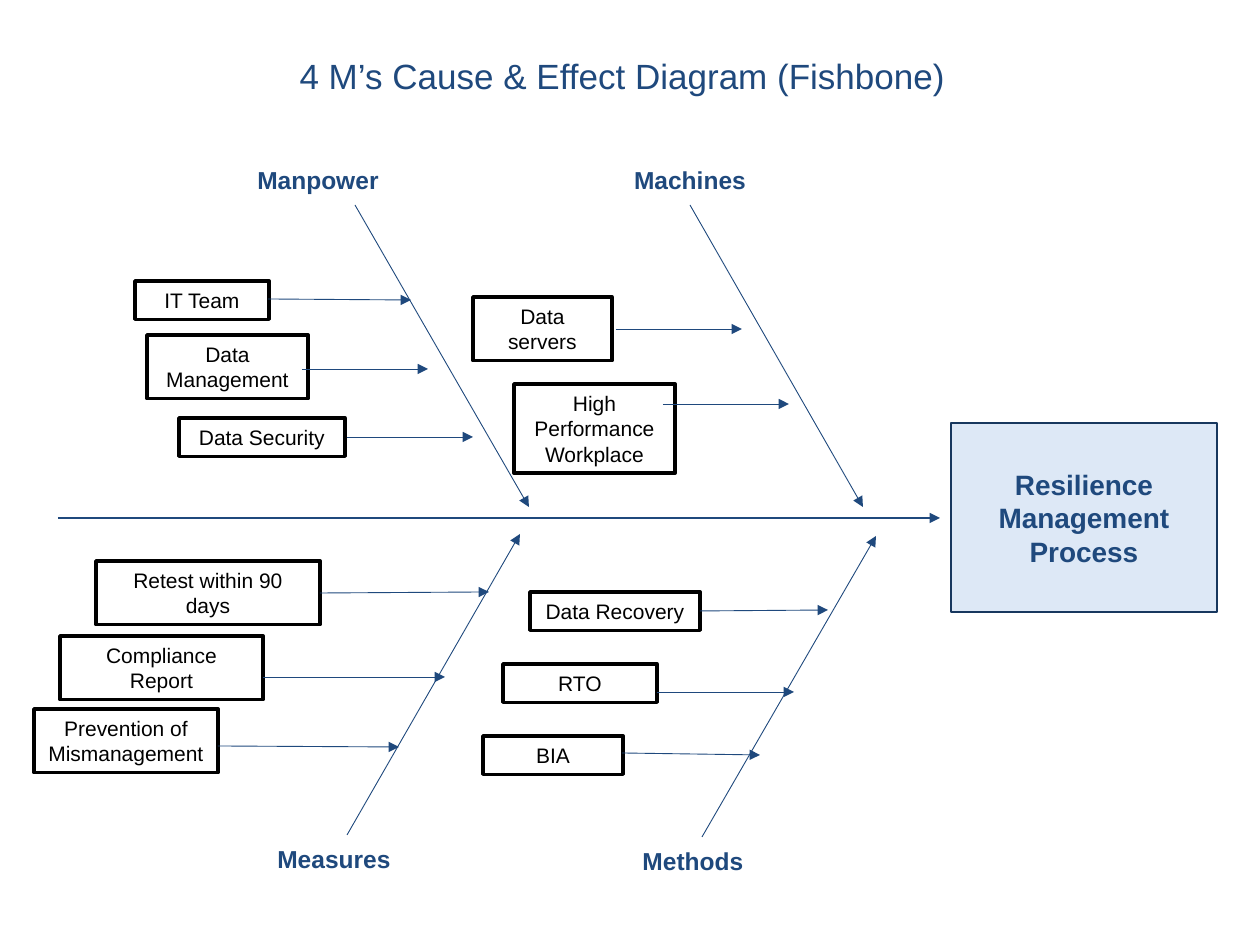
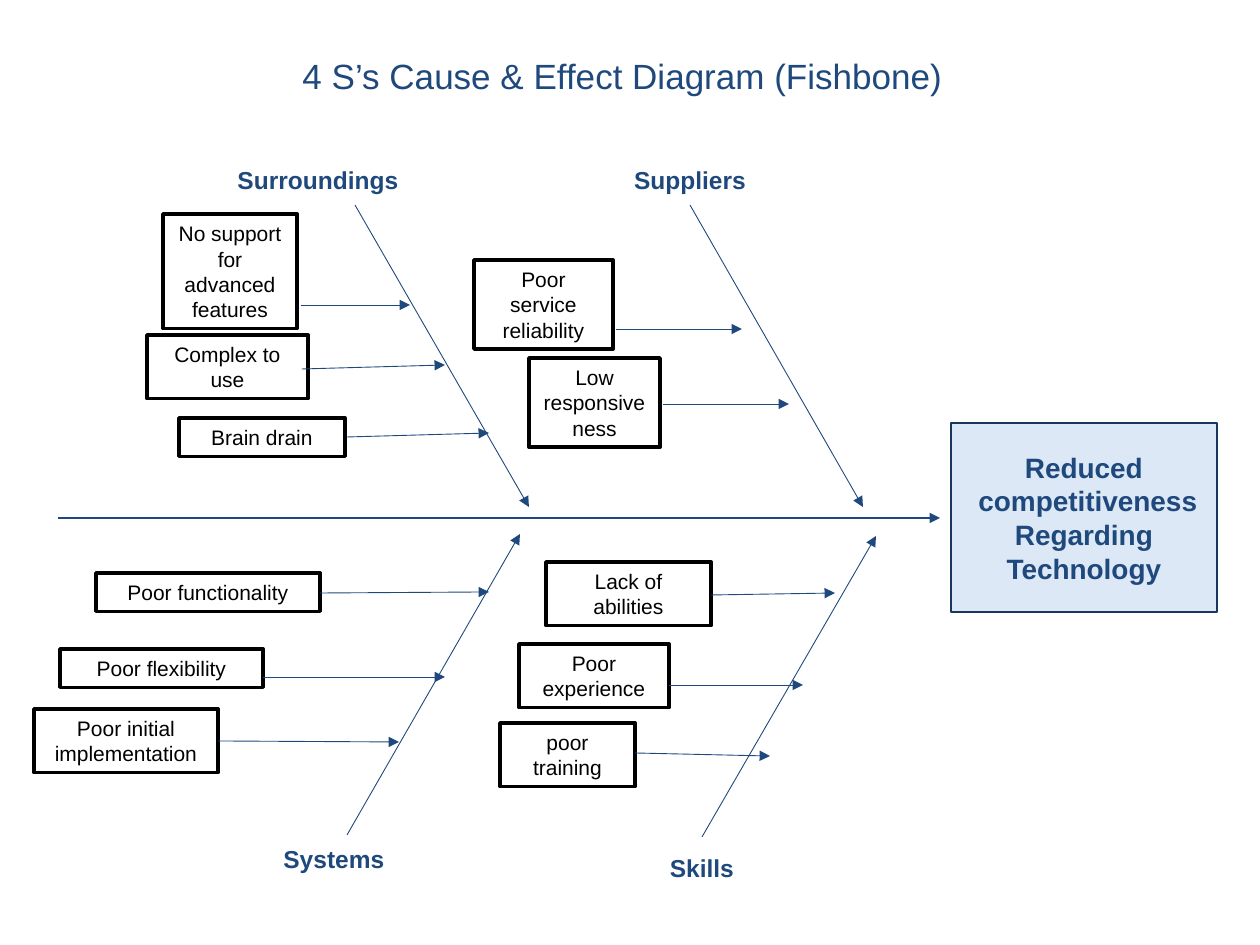
from lxml.etree import SubElement
from pptx import Presentation
from pptx.dml.color import RGBColor
from pptx.enum.shapes import MSO_CONNECTOR, MSO_SHAPE
from pptx.enum.text import MSO_ANCHOR, MSO_AUTO_SIZE, PP_ALIGN
from pptx.oxml.ns import qn
from pptx.util import Inches, Pt

NAVY, EDGE, PALE, BLACK, WHITE = "1F497D", "17375E", "C6D9F1", "000000", "FFFFFF"
FONT = "Arial"
SCALE = Inches(1) / 126
LINE_HEIGHT, BOX_PADDING = 25.4, 13

TITLE_AREA = (107, 48, 1031, 54)
EFFECT_AREA = (951, 423, 266, 189)
SPINE = (58, 518, 940, 518)
BONES = [
    (355, 205, 529, 507),
    (690, 205, 863, 507),
    (347, 835, 520, 534),
    (702, 837, 876, 536),
]

DIAGRAMS = [
    {
        "title": "4 M’s Cause & Effect Diagram (Fishbone)",
        "effect": "Resilience\v Management \vProcess",
        "categories": [
            ("Manpower", 117, 159, 402),
            ("Machines", 549, 159, 282),
            ("Measures", 195, 838, 278),
            ("Methods", 554, 840, 278),
        ],
        "causes": [
            ("IT Team", 135, 281, 134, 1, (268, 299, 411, 300)),
            ("Data Management", 147, 335, 161, 2, (302, 369, 428, 369)),
            ("Data Security", 179, 418, 166, 1, (347, 437, 473, 437)),
            ("Data servers", 473, 297, 139, 2, (616, 329, 742, 329)),
            ("High Performance Workplace", 514, 384, 161, 3, (663, 404, 789, 404)),
            ("Retest within 90 days", 96, 561, 224, 2, (320, 593, 489, 592)),
            ("Compliance Report", 60, 636, 203, 2, (263, 677, 445, 677)),
            ("Prevention of Mismanagement", 34, 709, 184, 2, (218, 746, 399, 747)),
            ("Data Recovery", 530, 592, 170, 1, (700, 611, 828, 610)),
            ("RTO", 503, 664, 154, 1, (657, 692, 794, 692)),
            ("BIA", 483, 736, 140, 1, (622, 753, 760, 755)),
        ],
    },
    {
        "title": "4 S’s Cause & Effect Diagram (Fishbone)",
        "effect": "Reduced\n competitiveness\nRegarding\nTechnology",
        "categories": [
            ("Surroundings", 117, 159, 402),
            ("Suppliers", 549, 159, 282),
            ("Systems", 195, 838, 278),
            ("Skills", 563, 847, 278),
        ],
        "causes": [
            ("No support for advanced features", 163, 214, 134, 4, (301, 305, 410, 305)),
            ("Complex to use", 147, 335, 161, 2, (302, 369, 445, 365)),
            ("Brain drain", 179, 418, 166, 1, (347, 437, 489, 433)),
            ("Poor service reliability", 474, 260, 139, 3, (616, 329, 742, 329)),
            ("Low responsiveness", 529, 358, 131, 3, (663, 404, 789, 404)),
            ("Poor functionality", 96, 573, 224, 1, (320, 593, 489, 592)),
            ("Poor flexibility", 60, 649, 203, 1, (263, 677, 445, 677)),
            ("Poor initial implementation", 34, 709, 184, 2, (218, 741, 399, 742)),
            ("Lack of abilities", 546, 562, 165, 2, (711, 595, 835, 593)),
            ("Poor experience", 519, 644, 150, 2, (669, 685, 803, 685)),
            ("poor training", 500, 723, 135, 2, (635, 753, 770, 756)),
        ],
    },
]


def emu(*pixels):
    return [round(pixel * SCALE) for pixel in pixels]


def rgb(hex_color):
    return RGBColor.from_string(hex_color)


def write(frame, text, size, color, bold=False, anchor=MSO_ANCHOR.TOP, wrap=True):
    frame.text = text
    frame.word_wrap = wrap
    frame.auto_size = MSO_AUTO_SIZE.NONE
    frame.vertical_anchor = anchor
    for paragraph in frame.paragraphs:
        paragraph.alignment = PP_ALIGN.CENTER
        paragraph.font.name = FONT
        paragraph.font.size = Pt(size)
        paragraph.font.bold = bold
        paragraph.font.color.rgb = rgb(color)


def add_title(slide, text):
    title = slide.shapes.title
    title.left, title.top, title.width, title.height = emu(*TITLE_AREA)
    write(title.text_frame, text, 20, NAVY)


def add_box(slide, area, fill, edge, weight):
    box = slide.shapes.add_shape(MSO_SHAPE.RECTANGLE, *emu(*area))
    box.shadow.inherit = False
    box.fill.solid()
    box.fill.fore_color.rgb = rgb(fill)
    box.line.color.rgb = rgb(edge)
    box.line.width = Pt(weight)
    return box


def add_effect(slide, text):
    effect = add_box(slide, EFFECT_AREA, PALE, EDGE, 1)
    tint = effect.fill._xPr.find(qn("a:solidFill"))[0]
    SubElement(tint, qn("a:alpha"), val="58000")
    write(effect.text_frame, text, 16, NAVY, True, MSO_ANCHOR.MIDDLE, False)


def add_arrow(slide, ends, weight=0.5):
    arrow = slide.shapes.add_connector(MSO_CONNECTOR.STRAIGHT, *emu(*ends))
    arrow.line.color.rgb = rgb(NAVY)
    arrow.line.width = Pt(weight)
    SubElement(arrow.line._get_or_add_ln(), qn("a:tailEnd"), type="triangle")
    SubElement(arrow._element.spPr, qn("a:effectLst"))


def add_category(slide, text, left, top, width):
    label = slide.shapes.add_textbox(*emu(left, top, width, 42))
    write(label.text_frame, text, 14, NAVY, True)


def add_cause(slide, text, left, top, width, lines, ends):
    height = lines * LINE_HEIGHT + BOX_PADDING
    cause = add_box(slide, (left, top, width, height), WHITE, BLACK, 2)
    write(cause.text_frame, text, 12, BLACK, anchor=MSO_ANCHOR.MIDDLE)
    add_arrow(slide, ends)


deck = Presentation()
deck.slide_width, deck.slide_height = Inches(10), Inches(7.5)
title_only = deck.slide_layouts.get_by_name("Title Only")

for diagram in DIAGRAMS:
    slide = deck.slides.add_slide(title_only)
    add_title(slide, diagram["title"])
    add_effect(slide, diagram["effect"])
    add_arrow(slide, SPINE, 1.5)
    for category in diagram["categories"]:
        add_category(slide, *category)
    for cause in diagram["causes"]:
        add_cause(slide, *cause)
    for bone in BONES:
        add_arrow(slide, bone)

deck.save("out.pptx")
